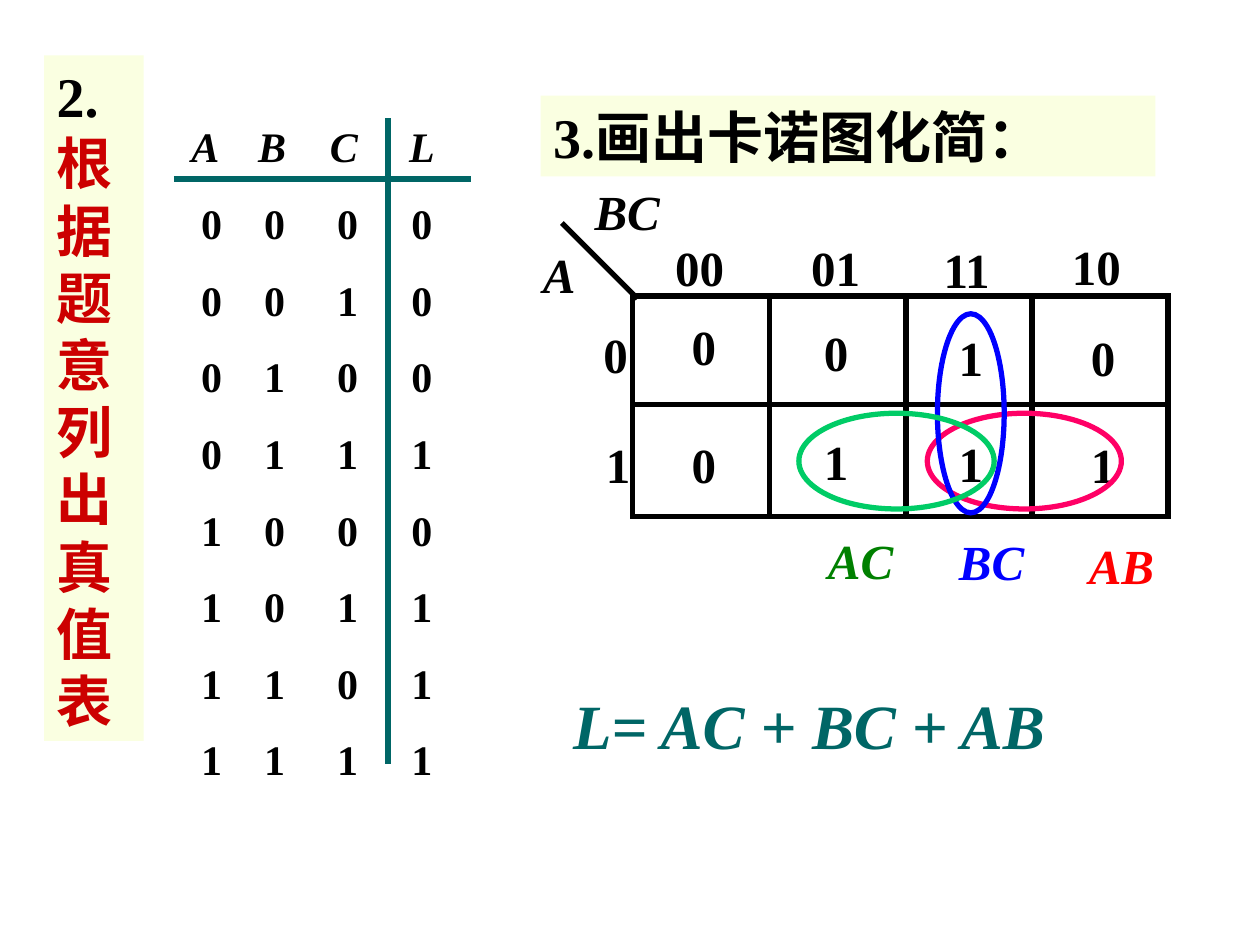
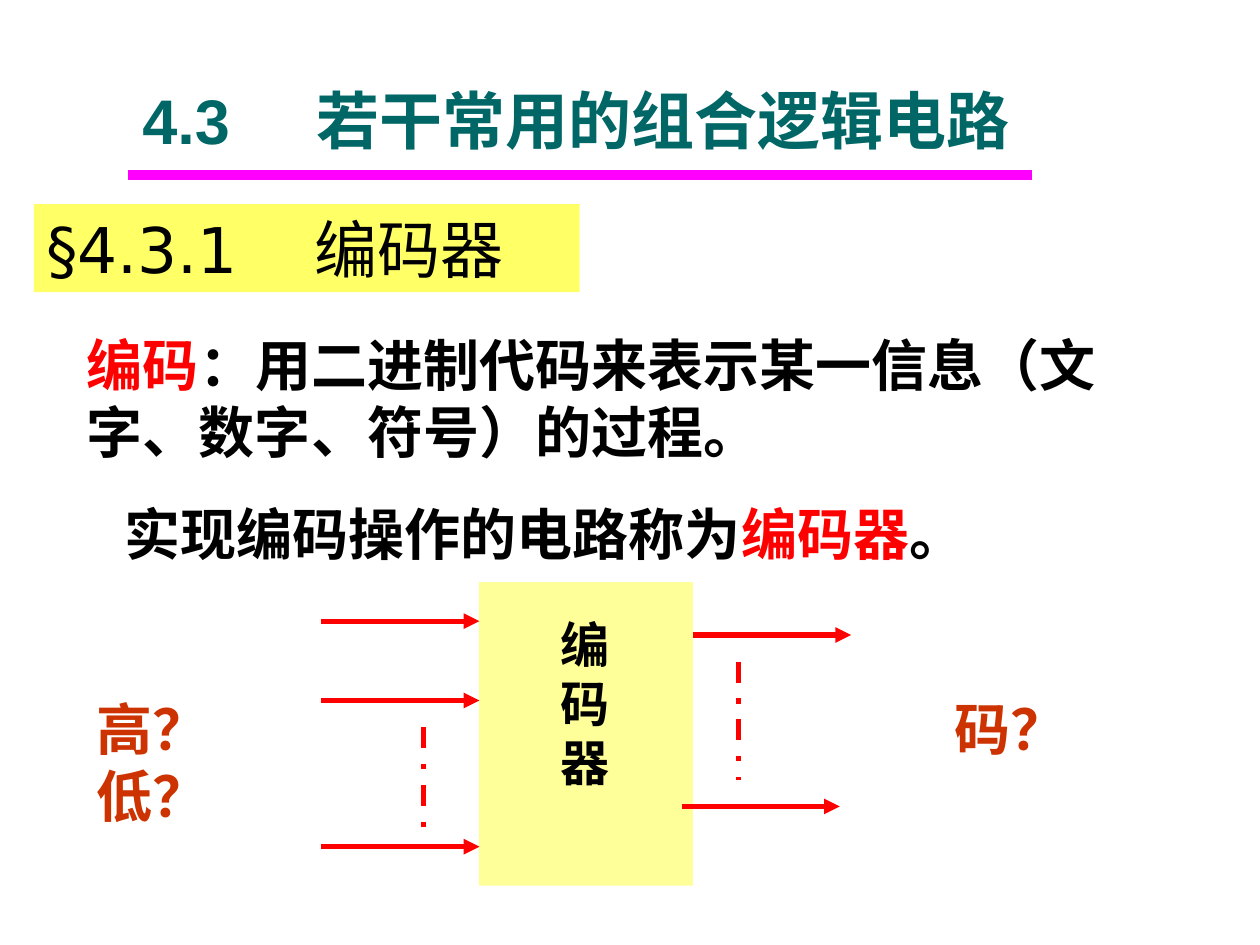
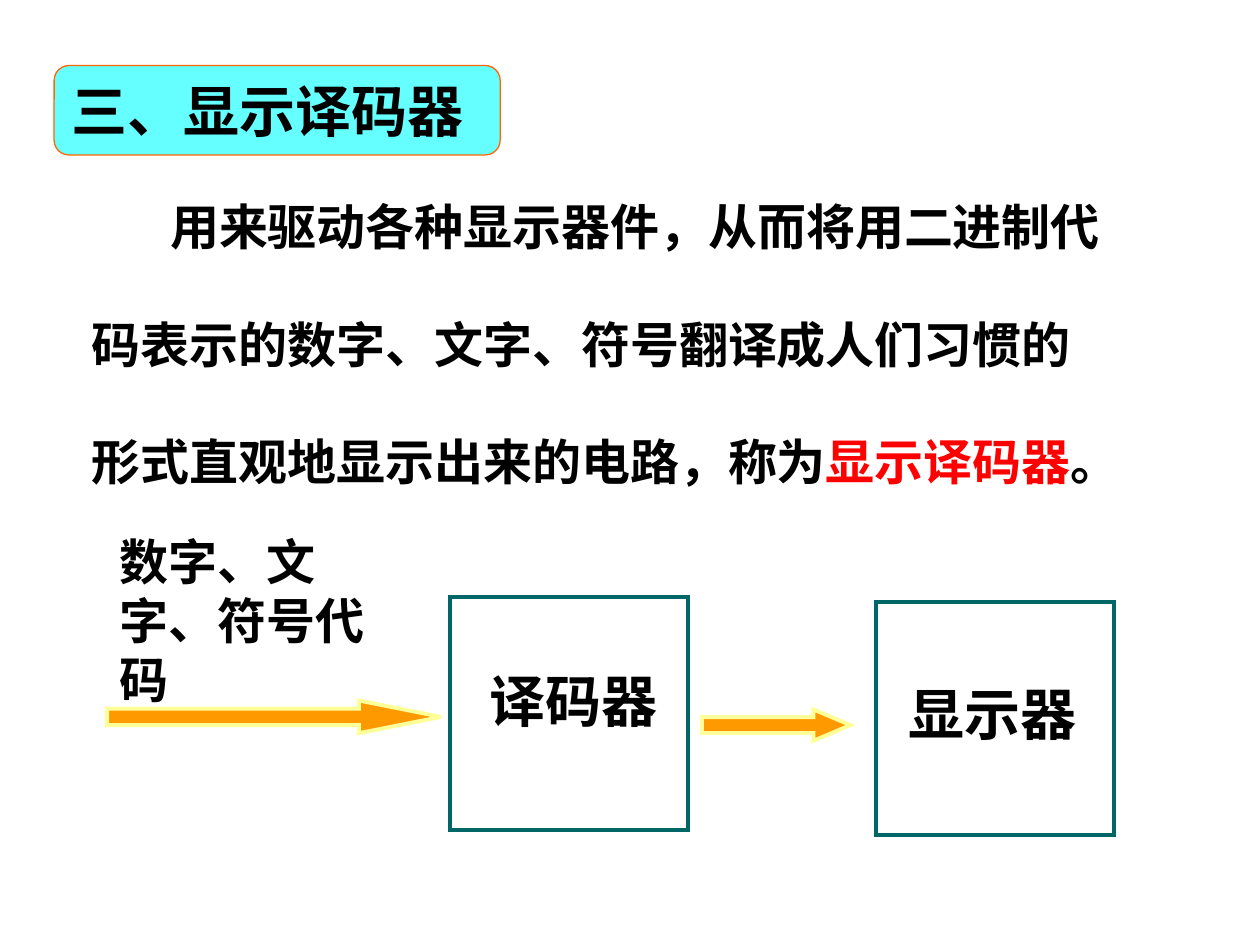
from lxml import etree
from pptx import Presentation
from pptx.dml.color import RGBColor
from pptx.enum.dml import MSO_LINE
from pptx.enum.shapes import MSO_CONNECTOR, MSO_SHAPE
from pptx.enum.text import MSO_ANCHOR, MSO_AUTO_SIZE, PP_ALIGN
from pptx.oxml.ns import qn
from pptx.util import Inches, Pt

# Slide size and grid: 100 columns by 75 rows
WIDE, TALL = Inches(10), Inches(7.5)
COL, ROW = WIDE / 100, TALL / 75

# Enum members
LEFT, MID, FULL = PP_ALIGN.LEFT, PP_ALIGN.CENTER, PP_ALIGN.JUSTIFY
TOP, HALF = MSO_ANCHOR.TOP, MSO_ANCHOR.MIDDLE
RECT, ROUND = MSO_SHAPE.RECTANGLE, MSO_SHAPE.ROUNDED_RECTANGLE
OVAL, ARROW = MSO_SHAPE.OVAL, MSO_SHAPE.RIGHT_ARROW
DASH = MSO_LINE.DASH_DOT

# Fonts
SERIF, SANS, PLAIN, HAN = "Times New Roman", "Arial", "DejaVu Sans", "Noto Sans CJK SC"

# Colours
BLACK = RGBColor(0x00, 0x00, 0x00)
WHITE = RGBColor(0xFF, 0xFF, 0xFF)
TEAL = RGBColor(0x00, 0x66, 0x66)
RED = RGBColor(0xFF, 0x00, 0x00)
DARK_RED = RGBColor(0xCC, 0x00, 0x00)
RUST = RGBColor(0xCC, 0x33, 0x00)
PINK = RGBColor(0xFF, 0x00, 0x66)
BLUE = RGBColor(0x00, 0x00, 0xFF)
GREEN = RGBColor(0x00, 0x80, 0x00)
MINT = RGBColor(0x00, 0xCC, 0x66)
MAGENTA = RGBColor(0xFF, 0x00, 0xFF)
CREAM = RGBColor(0xFA, 0xFF, 0xE1)
YELLOW = RGBColor(0xFF, 0xFF, 0x66)
PALE = RGBColor(0xFF, 0xFF, 0x99)
CYAN = RGBColor(0x66, 0xFF, 0xFF)
ORANGE = RGBColor(0xFF, 0x99, 0x00)
EMBER = RGBColor(0xFF, 0x66, 0x00)


def area(x, y, w, h):
    """Turn columns and rows into lengths."""
    return int(x * COL), int(y * ROW), int(w * COL), int(h * ROW)


def set_row(para, pitch, side, gap, dent, tabs):
    """Format one paragraph; dent and tabs are in columns."""
    props = para._p.get_or_add_pPr()
    props.set("hangingPunct", "0")
    if dent is not None:
        props.set("marL", "0")
        props.set("indent", str(int(dent * COL)))
    etree.SubElement(props, qn("a:buNone"))
    if tabs:
        stops = etree.SubElement(props, qn("a:tabLst"))
        for place, kind in tabs:
            etree.SubElement(stops, qn("a:tab"), pos=str(int(place * COL)), algn=kind)
    para.alignment = side
    para.line_spacing = Pt(pitch)
    para.space_before = Pt(gap)
    para.space_after = Pt(0)


def write(frame, rows, size=28, face=SERIF, bold=True, slant=False, side=LEFT,
          rest=TOP, gap=0, wrap=True, inset=1, lead=1.2, dents=(), tabs=()):
    """Fill a frame with rows, each a list of (text, colour) runs."""
    frame.auto_size = MSO_AUTO_SIZE.NONE
    frame.word_wrap = wrap
    frame.vertical_anchor = rest
    frame.margin_left, frame.margin_right = int(inset * COL), int(COL)
    frame.margin_top = frame.margin_bottom = Inches(0.05)
    for i, row in enumerate(rows):
        para = frame.add_paragraph() if i else frame.paragraphs[0]
        set_row(para, size * lead, side, gap if i else 0,
                dents[i] if dents else None, tabs[i] if tabs else ())
        for text, tint in row:
            run = para.add_run()
            run.text = text
            font = run.font
            font.size, font.bold, font.italic = Pt(size), bold, slant
            font.name = face
            font.color.rgb = tint
            etree.SubElement(run._r.rPr, qn("a:ea"), typeface=HAN)


def place(shape, box):
    """Move a placeholder."""
    shape.left, shape.top, shape.width, shape.height = area(*box)


def note(slide, box, text, tint=BLACK, **look):
    """Add a text box with one run."""
    label = slide.shapes.add_textbox(*area(*box))
    write(label.text_frame, [[(text, tint)]], **look)


def form(slide, kind, box, fill=None, edge=None, width=3.0):
    """Add a preset shape with sharp corners."""
    shape = slide.shapes.add_shape(kind, *area(*box))
    shape.shadow.inherit = False
    if fill is None:
        shape.fill.background()
    else:
        shape.fill.solid()
        shape.fill.fore_color.rgb = fill
    if edge is None:
        shape.line.fill.background()
    else:
        shape.line.color.rgb = edge
        shape.line.width = Pt(width)
        outline = shape._element.spPr.find(qn("a:ln"))
        etree.SubElement(outline, qn("a:miter"), lim="800000")
    return shape


def rule(slide, x1, y1, x2, y2, tint, width=3.0, dash=None, head=False, cap="flat"):
    """Add a straight line, dashed or with an arrowhead if asked."""
    line = slide.shapes.add_connector(
        MSO_CONNECTOR.STRAIGHT, *area(x1, y1, x2, y2))
    line.line.color.rgb = tint
    line.line.width = Pt(width)
    if dash:
        line.line.dash_style = dash
    props = line._element.spPr
    stroke = props.find(qn("a:ln"))
    stroke.set("cap", cap)
    if head:
        etree.SubElement(stroke, qn("a:tailEnd"), type="triangle")
    etree.SubElement(props, qn("a:effectLst"))


def title(slide, box, text, tint=BLACK, fill=None, **look):
    """Move, fill and format the title placeholder."""
    head = slide.shapes.title
    place(head, box)
    if fill is not None:
        head.fill.solid()
        head.fill.fore_color.rgb = fill
    write(head.text_frame, [[(text, tint)]], **look)


def body(slide, box, rows, **look):
    """Move and format the body placeholder."""
    hold = slide.placeholders[1]
    place(hold, box)
    write(hold.text_frame, rows, **look)


def truth(slide):
    """Truth table of the majority of three inputs."""
    rows = [[("\tA\tB\tC\tL", BLACK)]]
    for n in range(8):
        bits = [n >> 2 & 1, n >> 1 & 1, n & 1]
        bits.append(int(sum(bits) > 1))
        rows.append([("".join(f"\t{bit}" for bit in bits), BLACK)])
    names = [(x, "ctr") for x in (1, 6.4, 12.1, 18.3)]
    stops = [(x, "ctr") for x in (1.6, 6.6, 12.4, 18.3)]
    table = slide.shapes.add_textbox(*area(14.2, 9.1, 24.2, 53.7))
    write(table.text_frame, rows, size=24, gap=15, tabs=[names] + [stops] * 8)
    for run in table.text_frame.paragraphs[0].runs:
        run.font.italic = True
    rule(slide, 13.8, 14.2, 37.4, 14.2, TEAL)
    rule(slide, 30.8, 9.4, 30.8, 60.6, TEAL)


def karnaugh(slide):
    """Karnaugh map with its loops and terms."""
    edges = (50.2, 61.1, 71.9, 81.9, 92.7)
    top, mid, low = 23.5, 32.1, 41
    form(slide, RECT, (edges[0], top, edges[-1] - edges[0], low - top), edge=BLACK)
    rule(slide, edges[0], mid, edges[-1], mid, BLACK)
    for x in edges[1:-1]:
        rule(slide, x, top, x, low, BLACK)
    rule(slide, 50.6, 23.7, 44.6, 17.7, BLACK)

    # Names of the variables, then codes and values
    note(slide, (42.1, 18.9, 5.7, 5.7), "A", slant=True)
    note(slide, (46.2, 13.9, 8.5, 5.7), "BC", slant=True)
    for x, y, code in ((52.6, 18.4, "00"), (63.4, 18.4, "01"),
                       (73.9, 18.5, "11"), (84.1, 18.3, "10")):
        note(slide, (x, y, 7.3, 5.7), code)
    spots = (53.9, 64.4, 75.1, 85.6)
    for side, tops, mark, bits in (
            ((46.9, 25.3), (24.6, 25.1, 25.5, 25.5), "0", "0010"),
            ((47.1, 34), (34, 33.8, 33.9, 34), "1", "0111")):
        note(slide, (*side, 5.7, 5.7), mark)
        for x, y, bit in zip(spots, tops, bits):
            note(slide, (x, y, 3.8, 5.7), bit)

    # Loops and the terms they give
    for loop, edge, spot, term, tint in (
            ((73.6, 32.8, 15.4, 7.6), PINK, (85.4, 42), "AB", RED),
            ((74.4, 24.9, 5.3, 15.8), BLUE, (75.1, 41.7), "BC", BLUE),
            ((63.4, 32.8, 15.5, 7.6), MINT, (64.7, 41.6), "AC", GREEN)):
        form(slide, OVAL, loop, edge=edge)
        note(slide, (*spot, 7.2, 5.7), term, tint, slant=True, side=MID,
             rest=HALF, wrap=False)


def map_slide(slide):
    strip = form(slide, RECT, (3.5, 4.4, 7.9, 54.4), CREAM)
    write(strip.text_frame, [[("2.", BLACK), ("根据题意列出真值表", DARK_RED)]], size=32)
    truth(slide)
    title(slide, (42.9, 7.6, 48.8, 6.4), "3.画出卡诺图化简：", fill=CREAM, size=32)
    karnaugh(slide)
    note(slide, (44.5, 54, 42.7, 7), "L= AC + BC + AB", TEAL, size=36, slant=True)


def coder_slide(slide):
    title(slide, (7.5, 6.6, 88.2, 6.4), "4.3\t若干常用的组合逻辑电路", TEAL, size=36,
          face=SANS, rest=HALF, inset=3.8, lead=1.08, tabs=[[(13.8, "l")]])
    rule(slide, 10.6, 13.9, 81.5, 13.9, MAGENTA, 6, cap="sq")
    band = form(slide, RECT, (2.7, 16.2, 43.3, 7), YELLOW)
    write(band.text_frame, [[("§4.3.1\t编码器", BLACK)]], size=36, face=PLAIN,
          bold=False, tabs=[[(21.3, "l")]])
    body(slide, (5.9, 25.7, 84.3, 19.8), [
        [("编码", RED), ("：用二进制代码来表示某一信息（文字、数字、符号）的过程。", BLACK)],
        [("实现编码操作的电路称为", BLACK), ("编码器", RED), ("。", BLACK)],
    ], size=32, gap=20, dents=(0, 3))

    # Block with inputs and outputs
    form(slide, RECT, (38, 46.2, 17, 24.1), PALE)
    name = slide.shapes.add_textbox(*area(43.5, 48.3, 5.9, 15))
    write(name.text_frame, [[(sign, BLACK)] for sign in "编码器"], wrap=False)
    for x, y in ((25.5, 49.3), (25.5, 55.6), (25.5, 67.2), (55, 50.4), (54.1, 64)):
        rule(slide, x, y, x + 12.55, y, RED, head=True)
    rule(slide, 33.6, 57.7, 33.6, 66.1, RED, dash=DASH)
    rule(slide, 58.6, 52.5, 58.6, 61.9, RED, dash=DASH)
    note(slide, (6.7, 54.6, 17, 6.4), "高？低？", RUST, size=32)
    note(slide, (74.8, 54.6, 12.8, 6.4), "码？", RUST, size=32)


def view_slide(slide):
    # Rounded plate behind the title
    plate = (4.3, 5.2, 35.4, 7.1)
    back = form(slide, ROUND, plate, CYAN, EMBER, 0.75)
    slide.shapes.title._element.addprevious(back._element)
    title(slide, plate, "三、显示译码器", size=32, rest=HALF, wrap=False, inset=1.4)
    body(slide, (6.3, 15.1, 86.2, 24.4), [
        [("用来驱动各种显示器件，从而将用二进制代", BLACK)],
        [("码表示的数字、文字、符号翻译成人们习惯的", BLACK)],
        [("形式直观地显示出来的电路，称为", BLACK), ("显示译码器", RED), ("。", BLACK)],
    ], side=FULL, gap=33.6, dents=(6.2, 0, 0))

    # Chain from codes to display
    note(slide, (8.5, 44, 24.9, 10.4), "数字、文字、符号代码", face=HAN, rest=HALF)
    for box, tip in (((8.5, 55.6, 26.5, 2.6), 2.51), ((55.7, 56.3, 11.8, 2.5), 1.18)):
        arrow = form(slide, ARROW, box, ORANGE, PALE, 2.25)
        arrow.adjustments[1] = tip
    for x, y, spot, name in ((35.7, 47.4, (37.9, 52.4), "译码器"),
                             (69.5, 47.8, (71.1, 53.4), "显示器")):
        form(slide, RECT, (x, y, 18.9, 18.5), WHITE, TEAL, 2.25)
        note(slide, (*spot, 15.3, 6.4), name, size=32, face=HAN, side=MID,
             rest=HALF, wrap=False)


def main():
    deck = Presentation()
    deck.slide_width, deck.slide_height = WIDE, TALL
    both, only = deck.slide_layouts[1], deck.slide_layouts[5]
    for layout, build in ((only, map_slide), (both, coder_slide), (both, view_slide)):
        build(deck.slides.add_slide(layout))
    deck.save("out.pptx")


if __name__ == "__main__":
    main()
